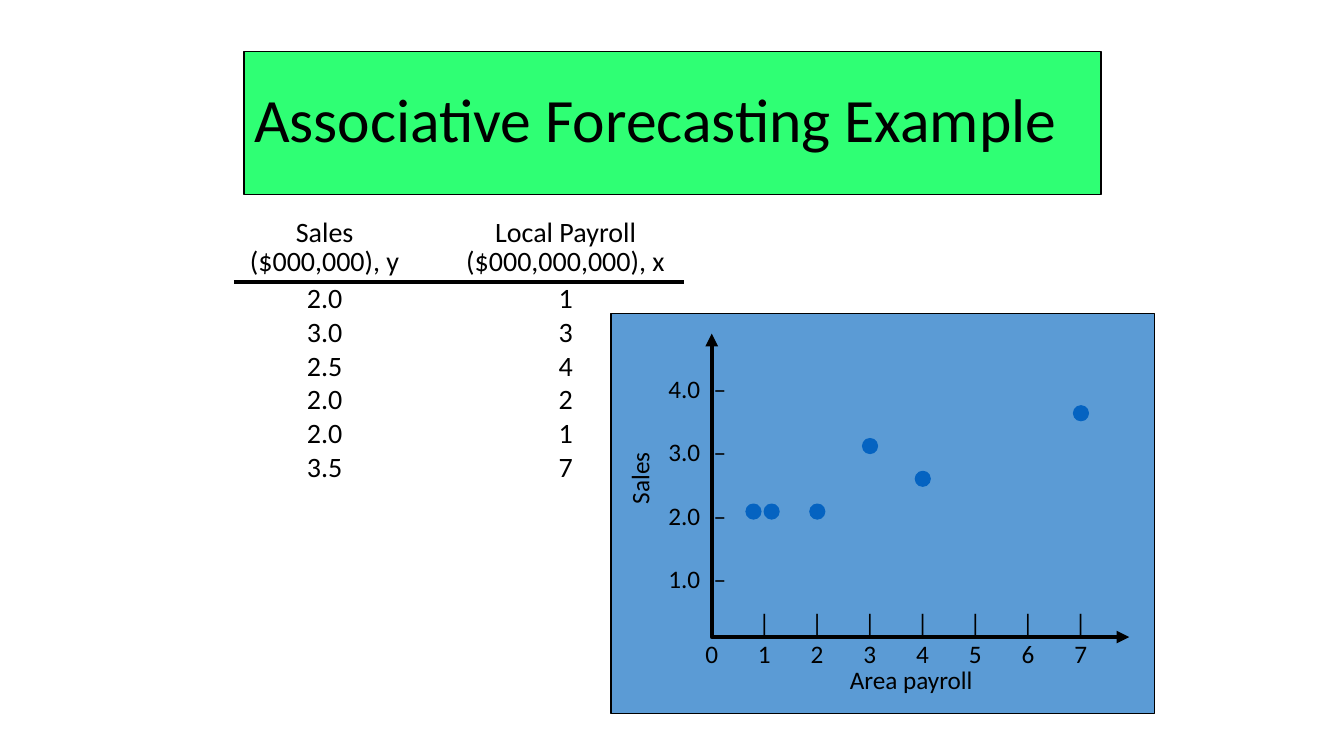
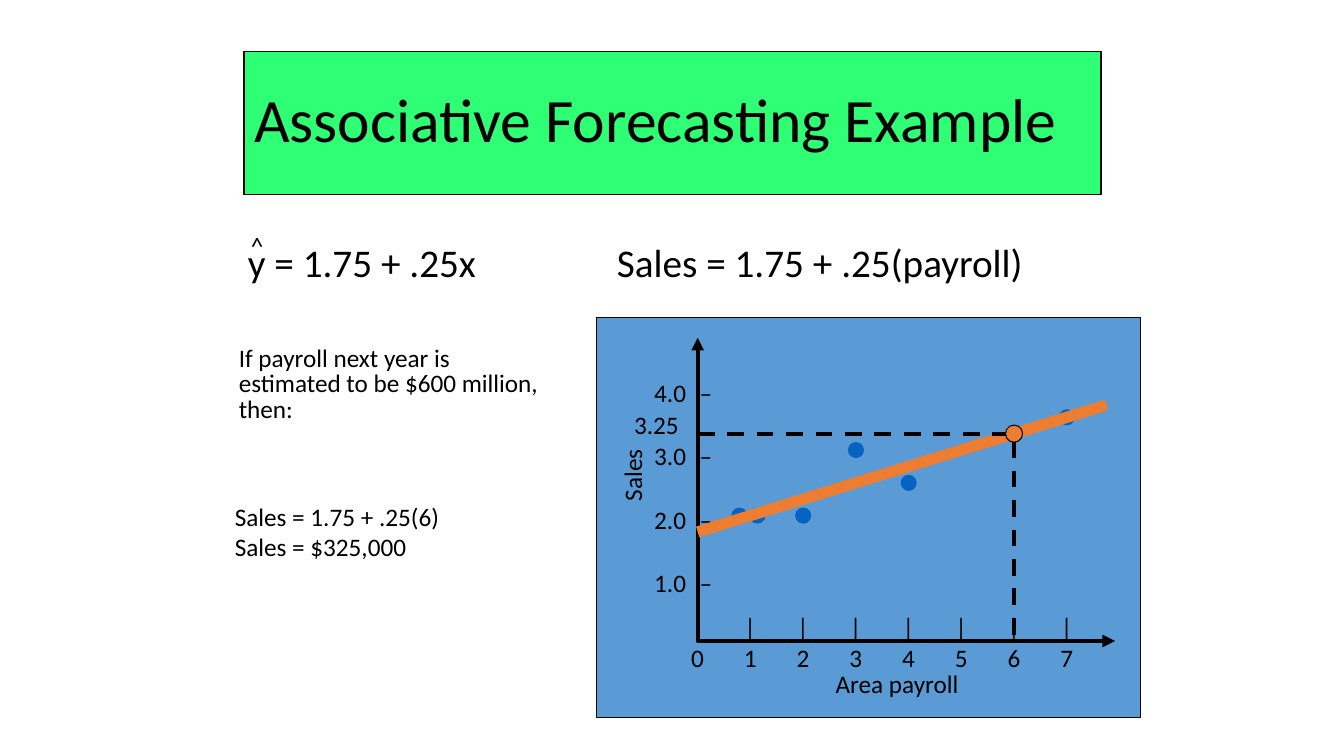
from dataclasses import dataclass
from typing import NamedTuple, Optional, Sequence

from lxml.etree import SubElement
from pptx import Presentation
from pptx.dml.color import RGBColor
from pptx.enum.dml import MSO_LINE
from pptx.enum.shapes import MSO_CONNECTOR, MSO_SHAPE
from pptx.enum.text import MSO_ANCHOR, MSO_AUTO_SIZE, PP_ALIGN
from pptx.oxml.ns import qn
from pptx.util import Inches, Pt

FONT = "Calibri"
COLORS = {
    "text": "000000",
    "outline": "000000",
    "title_band": "2FFF74",
    "panel": "5B9BD5",
    "observation": "0563C1",
    "trend": "ED7D31",
}
TITLE = "Associative Forecasting Example"
NO_GRID_STYLE = "{2D5ABB26-0587-4C30-8999-92F81FD0307C}"


class Box(NamedTuple):
    left: float
    top: float
    width: float
    height: float

    def emu(self) -> list:
        return [Inches(length) for length in self]


class Observation(NamedTuple):
    sales: float
    payroll: int
    nudge: float = 0  # inches, keeps equal observations apart


OBSERVATIONS = [
    Observation(2.0, 1, -0.11),
    Observation(3.0, 3),
    Observation(2.5, 4),
    Observation(2.0, 2),
    Observation(2.0, 1, 0.07),
    Observation(3.5, 7),
]


@dataclass(frozen=True)
class Plot:
    """The panel's corner, and the scales that map data to slide inches."""
    left: float
    top: float
    sales_label: Box

    def at(self, dx: float, dy: float, width: float, height: float) -> Box:
        return Box(self.left + dx, self.top + dy, width, height)

    def x(self, payroll: float) -> float:
        return self.left + 1.0 + 0.523 * payroll

    def y(self, sales: float) -> float:
        return self.top + 3.265 - 0.65 * sales

    @property
    def axis_y(self) -> float:
        return self.top + 3.21


def color(key: str) -> RGBColor:
    return RGBColor.from_string(COLORS[key])


def style_paragraph(paragraph, size: float, spacing: Optional[float] = None,
                    align: Optional[PP_ALIGN] = None) -> None:
    if spacing is not None:
        paragraph.line_spacing = spacing
    if align is not None:
        paragraph.alignment = align
    paragraph.font.name = FONT
    paragraph.font.size = Pt(size)
    paragraph.font.color.rgb = color("text")


def add_tabs(paragraph, stops: Sequence[float], align: str) -> None:
    tab_list = SubElement(paragraph._p.get_or_add_pPr(), qn("a:tabLst"))
    for stop in stops:
        SubElement(tab_list, qn("a:tab"), pos=str(Inches(stop)), algn=align)


def add_text(slide, box: Box, lines: Sequence[str], size: float = 18,
             spacing: Optional[float] = None, wrap: bool = False,
             tabs: Sequence[float] = (), tab_align: str = "l"):
    label = slide.shapes.add_textbox(*box.emu())
    frame = label.text_frame
    frame.word_wrap = wrap
    frame.auto_size = MSO_AUTO_SIZE.SHAPE_TO_FIT_TEXT
    for index, line in enumerate(lines):
        paragraph = frame.add_paragraph() if index else frame.paragraphs[0]
        paragraph.text = line
        if tabs:
            add_tabs(paragraph, tabs, tab_align)
        style_paragraph(paragraph, size, spacing)
    return label


def fill_and_outline(shape, fill: str, outline: str = "outline") -> None:
    shape.fill.solid()
    shape.fill.fore_color.rgb = color(fill)
    shape.line.color.rgb = color(outline)
    shape.line.width = Pt(0.75)


def add_solid(slide, kind: MSO_SHAPE, box: Box, fill: str, outline: str = "outline") -> None:
    shape = slide.shapes.add_shape(kind, *box.emu())
    shape.shadow.inherit = False
    fill_and_outline(shape, fill, outline)


def add_dot(slide, x: float, y: float, diameter: float, fill: str, outline: str) -> None:
    box = Box(x - diameter / 2, y - diameter / 2, diameter, diameter)
    add_solid(slide, MSO_SHAPE.OVAL, box, fill, outline)


def add_polyline(slide, points: Sequence[tuple]):
    start, *rest = [(Inches(x), Inches(y)) for x, y in points]
    builder = slide.shapes.build_freeform(*start)
    builder.add_line_segments(rest, close=False)
    polyline = builder.convert_to_shape()
    polyline.shadow.inherit = False
    polyline.fill.background()
    polyline.line.color.rgb = color("outline")
    polyline.line.width = Pt(3)
    return polyline


def add_title_slide(deck):
    slide = deck.slides.add_slide(deck.slide_layouts[5])
    title = slide.shapes.title
    title.left, title.top, title.width, title.height = Box(2.42, 0.51, 8.5, 1.42).emu()
    fill_and_outline(title, "title_band")
    frame = title.text_frame
    frame.text = TITLE
    frame.auto_size = MSO_AUTO_SIZE.NONE
    frame.vertical_anchor = MSO_ANCHOR.MIDDLE
    style_paragraph(frame.paragraphs[0], 44, 0.9, PP_ALIGN.LEFT)
    return slide


def add_plot(slide, plot: Plot) -> None:
    """Draw the panel, axes, labels and observations."""
    add_solid(slide, MSO_SHAPE.RECTANGLE, plot.at(0, 0, 5.39, 3.97), "panel")
    for observation in OBSERVATIONS:
        add_dot(slide, plot.x(observation.payroll) + observation.nudge,
                plot.y(observation.sales), 0.15, "observation", "observation")

    axes = add_polyline(slide, [(plot.x(0), plot.top + 0.2), (plot.x(0), plot.axis_y),
                                (plot.left + 5.14, plot.axis_y)])
    axis_line = axes.line._get_or_add_ln()
    for end in ("a:headEnd", "a:tailEnd"):
        SubElement(axis_line, qn(end), type="triangle")

    add_text(slide, plot.at(0.47, 0.21, 0.9, 3.28),
             [f"{sales}.0\t–" for sales in range(4, 0, -1)],
             spacing=2.1, wrap=True, tabs=[0.45])
    payrolls = range(8)
    ticks = "\t" + "\t|" * 7
    numbers = "".join(f"\t{payroll}" for payroll in payrolls)
    add_text(slide, plot.at(0.48, 2.87, 4.6, 0.7), [ticks, numbers], wrap=True,
             tabs=[plot.x(payroll) - plot.left - 0.58 for payroll in payrolls],
             tab_align="ctr")
    add_text(slide, plot.sales_label, ["Sales"]).rotation = 270
    add_text(slide, plot.at(2.27, 3.43, 1.43, 0.4), ["Area payroll"])


def add_rule_below(cell) -> None:
    border = SubElement(cell._tc.get_or_add_tcPr(), qn("a:lnB"), w=str(Pt(3)))
    fill = SubElement(border, qn("a:solidFill"))
    SubElement(fill, qn("a:srgbClr"), val=COLORS["outline"])


def add_sales_table(slide) -> None:
    rows = [("Sales\n($000,000), y", "Local Payroll\n($000,000,000), x")]
    rows += [(f"{entry.sales:.1f}", str(entry.payroll)) for entry in OBSERVATIONS]
    header_height, row_height = 0.68, 0.33
    widths = (2.12, 2.34)
    column_gap = 0.32
    box = Box(2.32, 2.12, sum(widths), header_height + row_height * len(OBSERVATIONS))
    table = slide.shapes.add_table(len(rows), len(widths), *box.emu()).table
    table.first_row = table.horz_banding = False
    table._tbl.tblPr.find(qn("a:tableStyleId")).text = NO_GRID_STYLE
    for column, width in zip(table.columns, widths):
        column.width = Inches(width)
    for row_index, values in enumerate(rows):
        is_header = row_index == 0
        table.rows[row_index].height = Inches(header_height if is_header else row_height)
        for column_index, value in enumerate(values):
            cell = table.cell(row_index, column_index)
            cell.text = value
            cell.margin_left = cell.margin_bottom = 0
            cell.margin_right = Inches(0 if column_index else column_gap)
            cell.margin_top = Inches(0.05 if is_header else 0)
            if is_header:
                add_rule_below(cell)
            cell.fill.background()
            for paragraph in cell.text_frame.paragraphs:
                style_paragraph(paragraph, 20, 0.85 if is_header else None, PP_ALIGN.CENTER)


def predicted_sales(payroll: float) -> float:
    return 1.75 + 0.25 * payroll


def add_trend(slide, plot: Plot) -> None:
    first, last = 0, 7.75
    trend = slide.shapes.add_connector(
        MSO_CONNECTOR.STRAIGHT,
        Inches(plot.x(first)), Inches(plot.y(predicted_sales(first))),
        Inches(plot.x(last)), Inches(plot.y(predicted_sales(last))))
    trend.line.color.rgb = color("trend")
    trend.line.width = Pt(8)
    SubElement(trend._element.spPr, qn("a:effectLst"))


def add_forecast(slide, plot: Plot, payroll: float) -> None:
    sales = predicted_sales(payroll)
    x, y = plot.x(payroll), plot.y(sales)
    guide = add_polyline(slide, [(plot.x(0), y), (x, y), (x, plot.axis_y)])
    guide.line.dash_style = MSO_LINE.DASH
    add_dot(slide, x, y, 0.17, "trend", "outline")
    add_text(slide, plot.at(0.27, 0.86, 0.65, 0.4), [f"{sales:.2f}"])


def build_data_slide(deck) -> None:
    slide = add_title_slide(deck)
    add_plot(slide, Plot(6.06, 3.11, Box(5.98, 4.54, 0.72, 0.4)))
    add_sales_table(slide)


def build_forecast_slide(deck) -> None:
    slide = add_title_slide(deck)
    plot = Plot(5.92, 3.15, Box(5.91, 4.51, 0.72, 0.4))
    add_plot(slide, plot)
    add_text(slide, Box(2.36, 2.32, 2.5, 0.57), ["y = 1.75 + .25x"], size=28)
    add_text(slide, Box(2.39, 2.24, 0.33, 0.4), ["^"])
    add_text(slide, Box(6.02, 2.32, 4.28, 0.57), ["Sales = 1.75 + .25(payroll)"], size=28)
    add_text(slide, Box(2.27, 3.39, 3.18, 0.87),
             ["If payroll next year is estimated to be $600 million, then:"],
             spacing=0.85, wrap=True)
    add_text(slide, Box(2.23, 4.92, 2.25, 0.71),
             ["Sales = 1.75 + .25(6)", "Sales = $325,000"])
    add_trend(slide, plot)
    add_forecast(slide, plot, payroll=6)


def main() -> None:
    deck = Presentation()
    deck.slide_width, deck.slide_height = Inches(13.33), Inches(7.5)
    build_data_slide(deck)
    build_forecast_slide(deck)
    deck.save("out.pptx")


if __name__ == "__main__":
    main()
